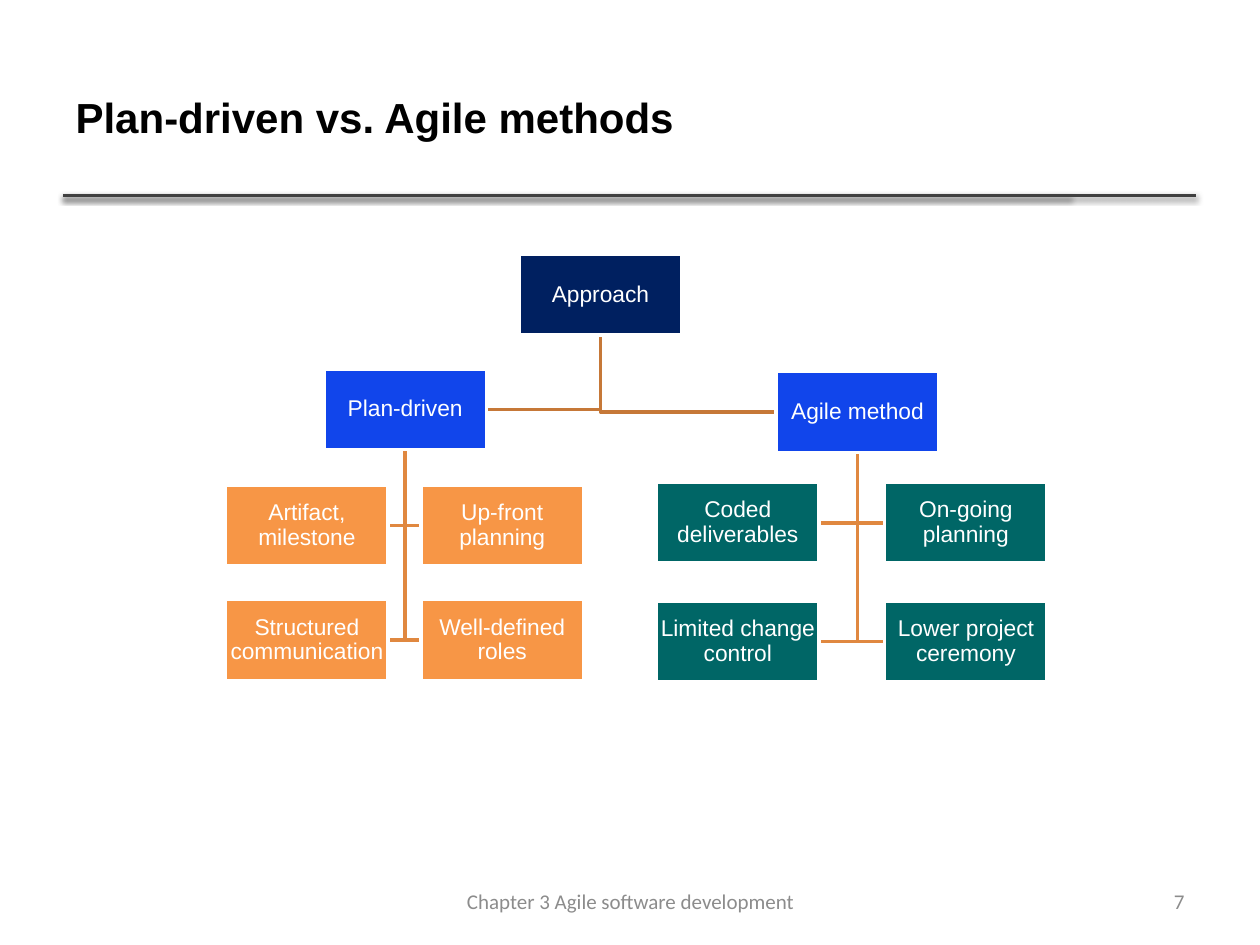
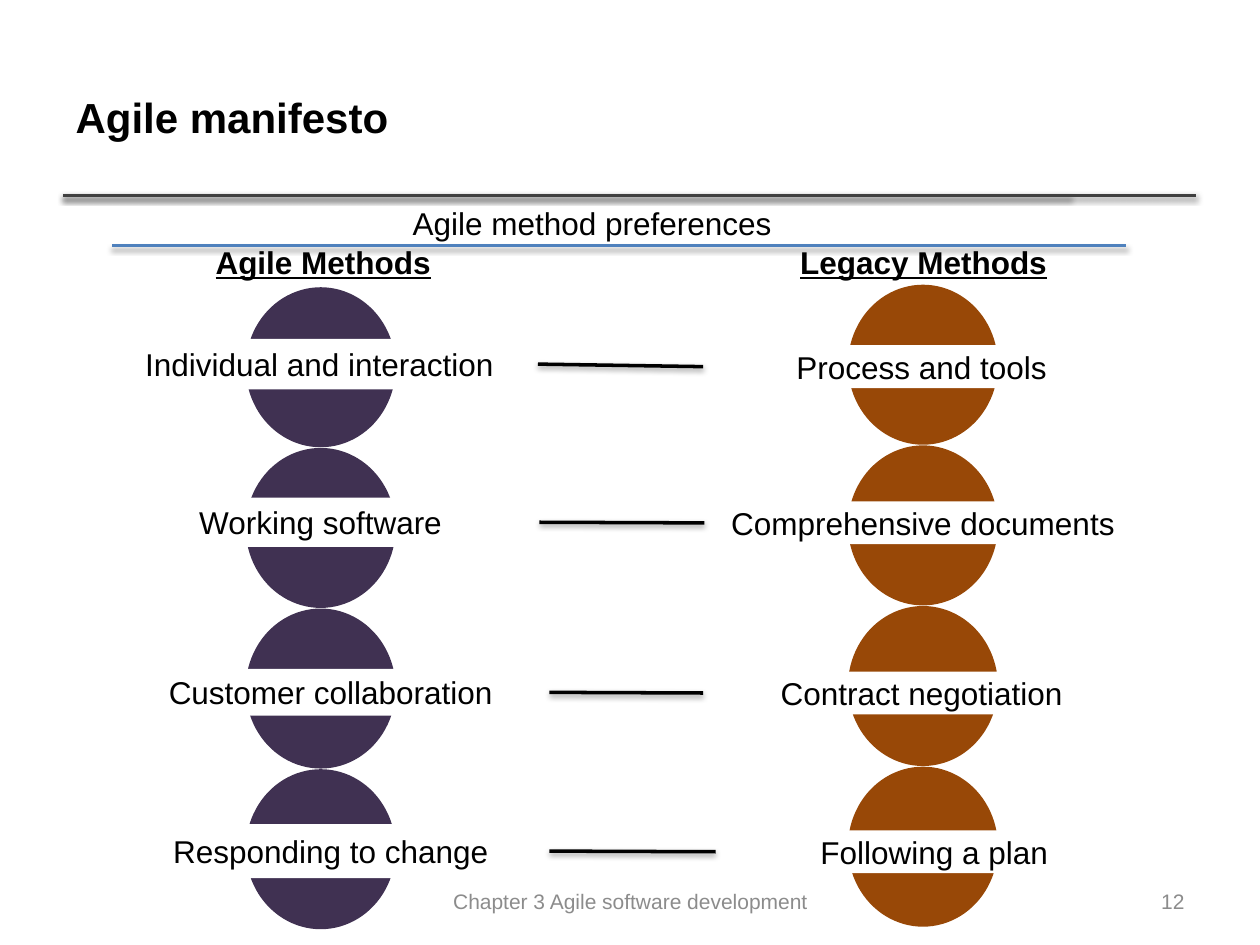
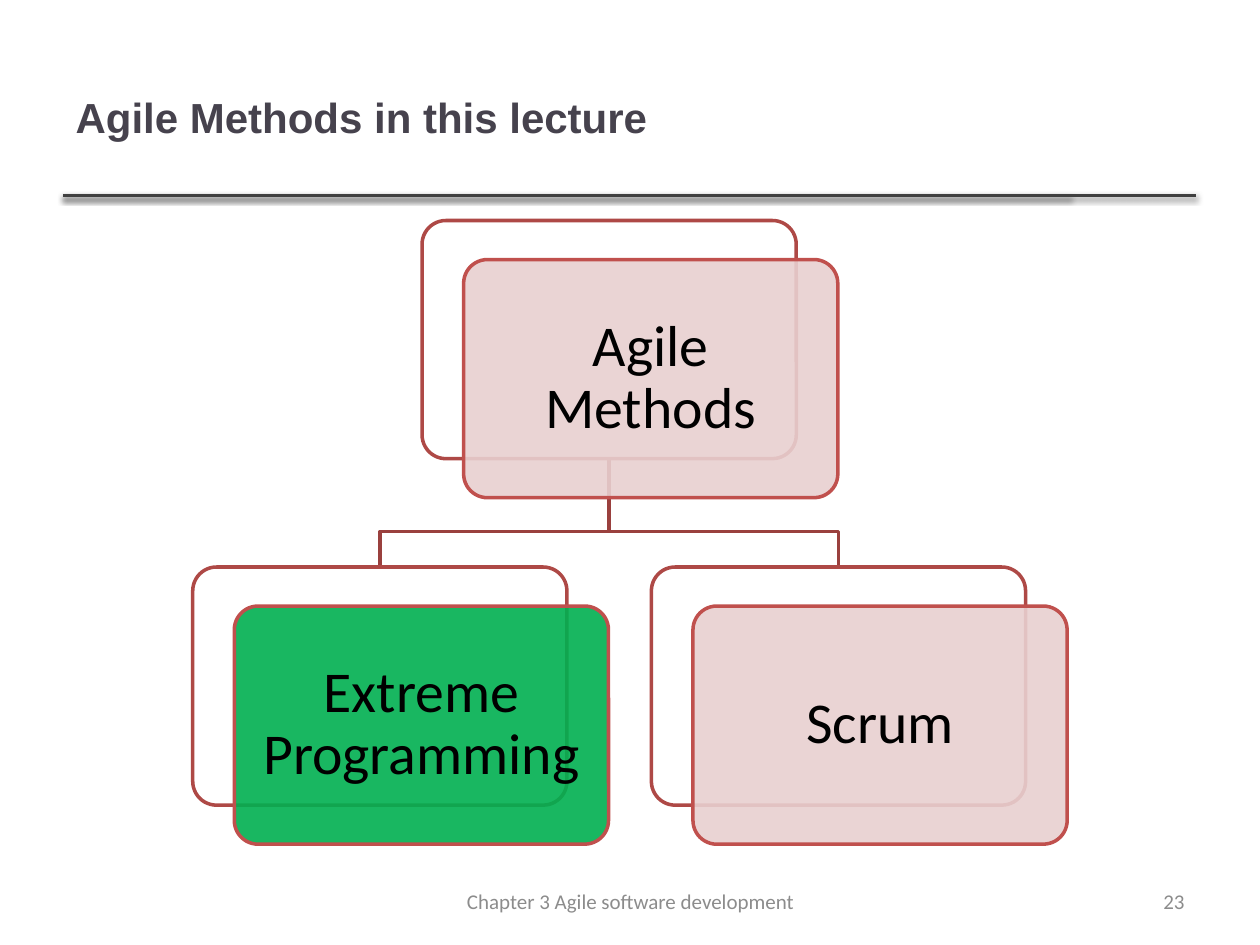
from lxml.etree import SubElement
from pptx import Presentation
from pptx.dml.color import RGBColor
from pptx.enum.shapes import MSO_CONNECTOR, MSO_SHAPE
from pptx.enum.text import MSO_ANCHOR, PP_ALIGN
from pptx.oxml.ns import qn
from pptx.util import Inches, Pt

BLACK = RGBColor(0x00, 0x00, 0x00)
WHITE = RGBColor(0xFF, 0xFF, 0xFF)
SLATE = RGBColor(0x46, 0x42, 0x4D)
RULE_GRAY = RGBColor(0x40, 0x40, 0x40)
FOOTER_GRAY = RGBColor(0x8C, 0x8C, 0x8C)
NAVY = RGBColor(0x00, 0x20, 0x60)
BLUE = RGBColor(0x11, 0x45, 0xEB)
ORANGE = RGBColor(0xF7, 0x96, 0x46)
TEAL = RGBColor(0x00, 0x66, 0x66)
ROOT_LINK = RGBColor(0xC6, 0x78, 0x38)
BRANCH_LINK = RGBColor(0xE0, 0x88, 0x40)
STEEL = RGBColor(0x4F, 0x81, 0xBD)
PURPLE = RGBColor(0x40, 0x31, 0x52)
BROWN = RGBColor(0x98, 0x48, 0x07)
PINK = RGBColor(0xE8, 0xD0, 0xD0)
GREEN = RGBColor(0x00, 0xB0, 0x50)
CARD_BACK = RGBColor(0xAE, 0x49, 0x46)
CARD_FRONT = RGBColor(0xC0, 0x50, 0x4D)
CARD_LINK = RGBColor(0x9A, 0x40, 0x3E)


def write(box, text, size, color, font="Arial", align=PP_ALIGN.CENTER, inset=None, wrap=True):
    frame = box.text_frame
    frame.word_wrap = wrap
    frame.vertical_anchor = MSO_ANCHOR.MIDDLE
    if inset is not None:
        frame.margin_left = frame.margin_right = Inches(inset)
        frame.margin_top = frame.margin_bottom = Inches(inset)
    para = frame.paragraphs[0]
    para.alignment = align
    span = para.add_run()
    span.text = text
    span.font.size = Pt(size)
    span.font.name = font
    span.font.color.rgb = color
    return para


def set_line(shape, color, shadow=False):
    if color is None:
        shape.line.fill.background()
    else:
        shape.line.color.rgb = color
        shape.line.width = Pt(2)
    effects = SubElement(shape._element.spPr, qn("a:effectLst"))
    if shadow:
        outer = SubElement(effects, qn("a:outerShdw"), blurRad="40000", dist="20000",
                           dir="5400000", rotWithShape="0")
        tint = SubElement(outer, qn("a:srgbClr"), val="000000")
        SubElement(tint, qn("a:alpha"), val="38000")


deck = Presentation()
deck.slide_width, deck.slide_height = Inches(10), Inches(7.5)

pages = []
for title, title_color, number, footer_font in (
    ("Plan-driven vs. Agile methods", BLACK, "7", "Calibri"),
    ("Agile manifesto", BLACK, "12", "Arial"),
    ("Agile Methods in this lecture", SLATE, "23", "Calibri"),
):
    page = deck.slides.add_slide(deck.slide_layouts[5])
    pages.append(page)
    for rule_end in (8.49, 9.49):
        rule = page.shapes.add_connector(MSO_CONNECTOR.STRAIGHT, Inches(0.5), Inches(1.55),
                                         Inches(rule_end), Inches(1.55))
        set_line(rule, RULE_GRAY, shadow=True)
    heading = page.shapes.title
    heading.left, heading.top = Inches(0.5), Inches(0.3)
    heading.width, heading.height = Inches(7.98), Inches(1.25)
    write(heading, title, 24, title_color, align=PP_ALIGN.LEFT).runs[0].font.bold = True
    for left, width, text, align in (
        (3.42, 3.17, "Chapter 3 Agile software development", PP_ALIGN.CENTER),
        (7.17, 2.33, number, PP_ALIGN.RIGHT),
    ):
        footer = page.shapes.add_textbox(Inches(left), Inches(6.95), Inches(width), Inches(0.4))
        write(footer, text, 12, FOOTER_GRAY, footer_font, align)

approach_page, manifesto_page, lecture_page = pages

NODE_WIDTH, NODE_HEIGHT = 1.29, 0.64
root_left, root_top = 4.12, 2.02
families = (
    ("Plan-driven", 2.57, 2.93, ORANGE, (1.79, 3.34), (3.85, 4.76),
     (("Artifact, milestone", "Up-front planning"),
      ("Structured communication", "Well-defined roles"))),
    ("Agile method", 6.16, 2.95, TEAL, (5.21, 7.02), (3.83, 4.77),
     (("Coded deliverables", "On-going planning"),
      ("Limited change control", "Lower project ceremony"))),
)
nodes = [("Approach", root_left, root_top, NAVY)]
links = []
for label, left, top, color, columns, rows, names in families:
    inner_side = left + NODE_WIDTH if left < root_left else left
    links.append((root_left, root_top, inner_side, top, ROOT_LINK))
    nodes.append((label, left, top, BLUE))
    for row, row_names in zip(rows, names):
        for column, name in zip(columns, row_names):
            inner_side = column + NODE_WIDTH if column < left else column
            links.append((left, top, inner_side, row, BRANCH_LINK))
            nodes.append((name, column, row, color))

for parent_left, parent_top, end, child_top, color in links:
    trunk = Inches(parent_left + NODE_WIDTH / 2)
    level = Inches(child_top + NODE_HEIGHT / 2)
    builder = approach_page.shapes.build_freeform(trunk, Inches(parent_top + NODE_HEIGHT))
    builder.add_line_segments([(trunk, level), (Inches(end), level)], close=False)
    link = builder.convert_to_shape()
    link.fill.background()
    set_line(link, color)

for label, left, top, color in nodes:
    node = approach_page.shapes.add_shape(MSO_SHAPE.RECTANGLE, Inches(left), Inches(top),
                                          Inches(NODE_WIDTH), Inches(NODE_HEIGHT))
    node.fill.solid()
    node.fill.fore_color.rgb = color
    set_line(node, WHITE)
    write(node, label, 13, WHITE, inset=0.01).line_spacing = 0.9

divider = manifesto_page.shapes.add_connector(MSO_CONNECTOR.STRAIGHT, Inches(0.89), Inches(1.95),
                                              Inches(8.94), Inches(1.95))
set_line(divider, STEEL, shadow=True)
for text, left, top, width, is_header in (
    ("Agile method preferences", 3.16, 1.57, 3.08, False),
    ("Agile Methods", 1.6, 1.88, 1.93, True),
    ("Legacy Methods", 6.24, 1.88, 2.18, True),
):
    caption = manifesto_page.shapes.add_textbox(Inches(left), Inches(top), Inches(width), Inches(0.4))
    span = write(caption, text, 18, BLACK, wrap=False).runs[0]
    span.font.bold = span.font.underline = is_header

CIRCLE_WIDTH, CIRCLE_HEIGHT = 1.19, 1.27
label_columns = []
for circle_left, circle_top, color, labels in (
    (1.95, 2.28, PURPLE, (("Individual and interaction", 0.8, 2.69, 0.4),
                          ("Working software", 0.81, 3.95, 0.39),
                          ("Customer collaboration", 0.89, 5.31, 0.37),
                          ("Responding to change", 0.89, 6.54, 0.43))),
    (6.73, 2.26, BROWN, (("Process and tools", 5.58, 2.74, 0.34),
                         ("Comprehensive documents", 5.59, 3.98, 0.34),
                         ("Contract negotiation", 5.58, 5.33, 0.34),
                         ("Following a plan", 5.68, 6.59, 0.34))),
):
    for row in range(len(labels)):
        circle = manifesto_page.shapes.add_shape(
            MSO_SHAPE.OVAL, Inches(circle_left), Inches(circle_top + row * (CIRCLE_HEIGHT + 0.005)),
            Inches(CIRCLE_WIDTH), Inches(CIRCLE_HEIGHT))
        circle.fill.solid()
        circle.fill.fore_color.rgb = color
        set_line(circle, None)
    bands = []
    for text, left, top, height in labels:
        band = manifesto_page.shapes.add_shape(MSO_SHAPE.RECTANGLE, Inches(left), Inches(top),
                                               Inches(3.47), Inches(height))
        band.fill.solid()
        band.fill.fore_color.rgb = WHITE
        set_line(band, None)
        write(band, text, 18, BLACK)
        bands.append(band)
    label_columns.append(bands)

for agile_band, legacy_band in zip(*label_columns):
    pairing = manifesto_page.shapes.add_connector(MSO_CONNECTOR.STRAIGHT, 0, 0, 0, 0)
    pairing.begin_connect(agile_band, 3)
    pairing.end_connect(legacy_band, 1)
    set_line(pairing, BLACK, shadow=True)

CARD_WIDTH, CARD_HEIGHT = 2.97, 1.89
CARD_SHIFT_X, CARD_SHIFT_Y = 0.33, 0.31
top_card = ("Agile Methods", 3.35, 1.75, PINK)
child_cards = (("Extreme Programming", 1.53, 4.5, GREEN), ("Scrum", 5.17, 4.5, PINK))

trunk = Inches(top_card[1] + CARD_WIDTH / 2)
crossbar = Inches(4.22)
for name, left, top, color in child_cards:
    middle = Inches(left + CARD_WIDTH / 2)
    builder = lecture_page.shapes.build_freeform(trunk, Inches(top_card[2] + CARD_HEIGHT))
    builder.add_line_segments([(trunk, crossbar), (middle, crossbar), (middle, Inches(top))], close=False)
    branch = builder.convert_to_shape()
    branch.fill.background()
    set_line(branch, CARD_LINK)

for name, left, top, color in (top_card, *child_cards):
    for shift, fill, edge in ((0, WHITE, CARD_BACK), (1, color, CARD_FRONT)):
        card = lecture_page.shapes.add_shape(
            MSO_SHAPE.ROUNDED_RECTANGLE, Inches(left + shift * CARD_SHIFT_X),
            Inches(top + shift * CARD_SHIFT_Y), Inches(CARD_WIDTH), Inches(CARD_HEIGHT))
        card.adjustments[0] = 0.1
        card.fill.solid()
        card.fill.fore_color.rgb = fill
        set_line(card, edge)
    tint = card._element.spPr.find(qn("a:solidFill")).find(qn("a:srgbClr"))
    SubElement(tint, qn("a:alpha"), val="90000")
    write(card, name, 33, BLACK, "Calibri", inset=0.14).line_spacing = 0.9

deck.save("out.pptx")
